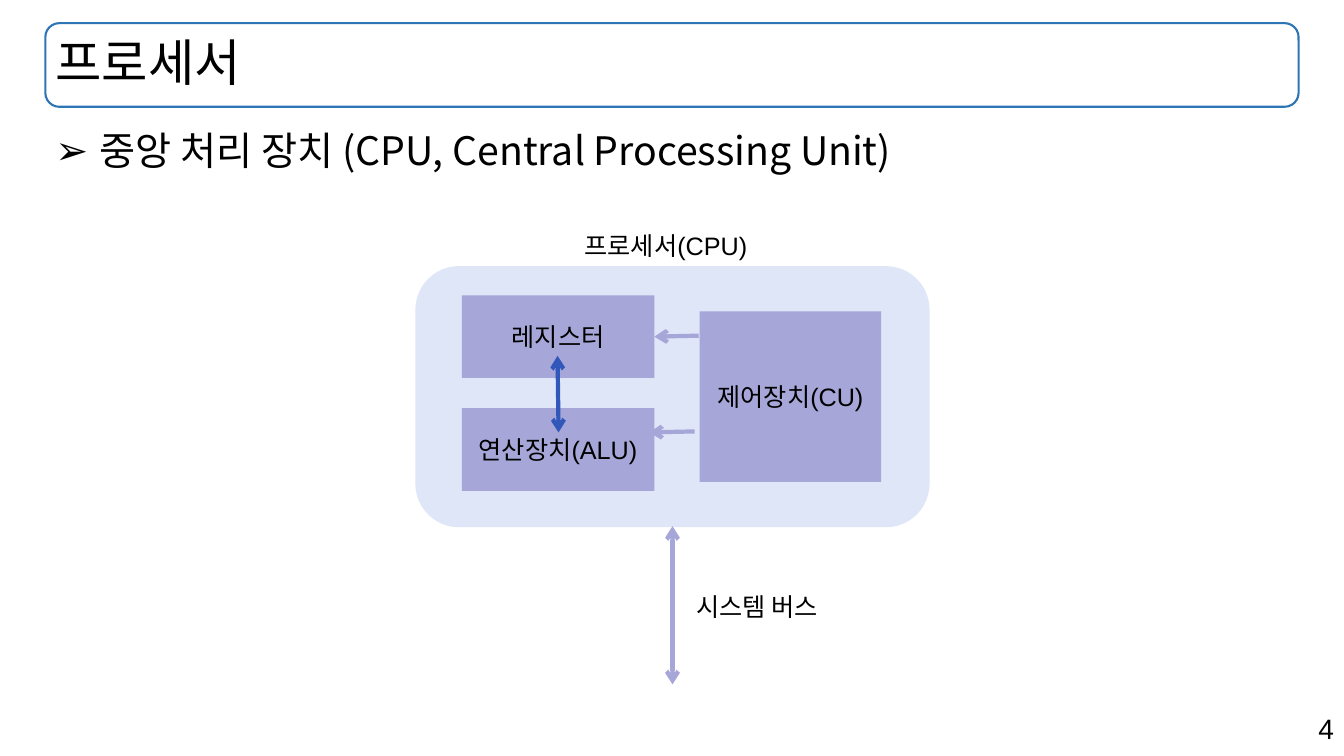
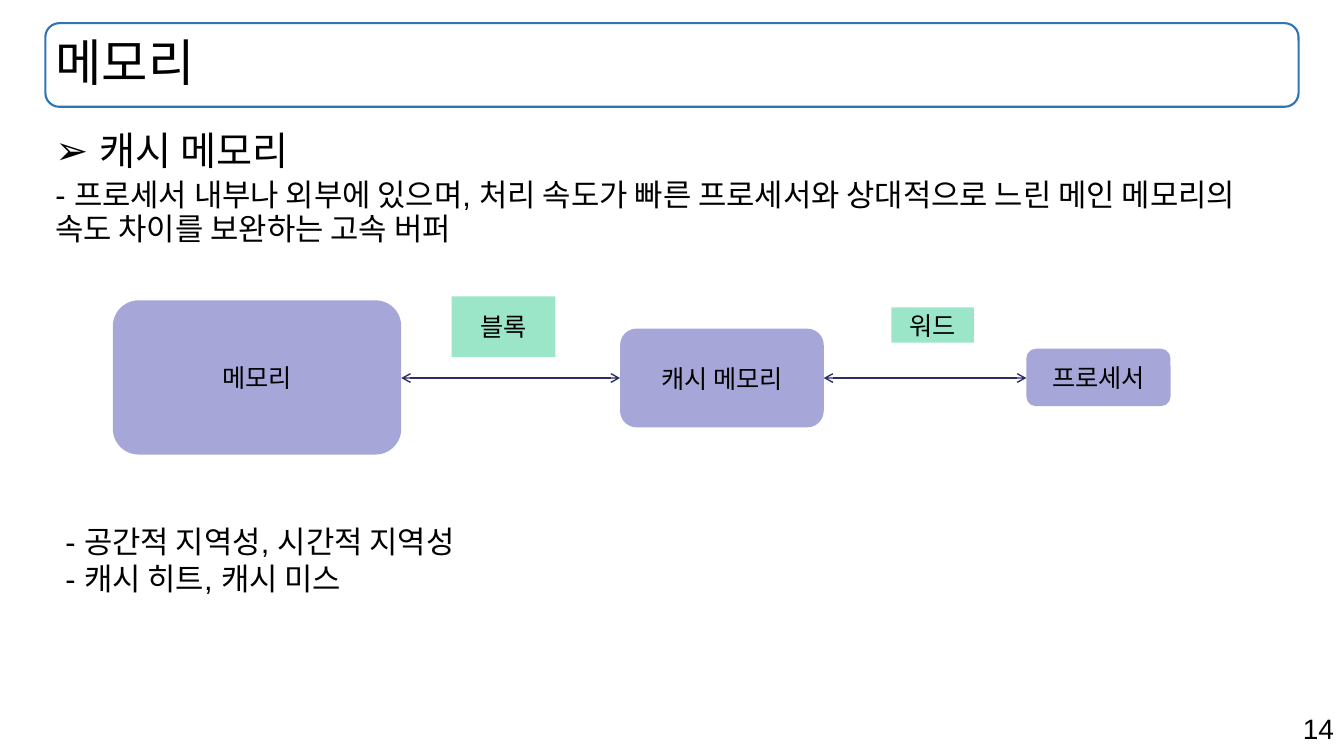
"""Builds two lecture slides on the processor and on cache memory."""
import pptx
import pptx.util
import pptx.dml.color
import pptx.enum.shapes
import pptx.enum.text
import pptx.oxml.ns
import lxml.etree

Inches = pptx.util.Inches
Pt = pptx.util.Pt
RGBColor = pptx.dml.color.RGBColor
Shape = pptx.enum.shapes.MSO_SHAPE
Align = pptx.enum.text.PP_ALIGN
Anchor = pptx.enum.text.MSO_ANCHOR
qn = pptx.oxml.ns.qn

BLACK = RGBColor(0x00, 0x00, 0x00)
BAND_BLUE = RGBColor(0x2E, 0x75, 0xB6)
LILAC = RGBColor(0xA6, 0xA7, 0xD8)
PALE_BLUE = RGBColor(0xDF, 0xE6, 0xF7)
STRONG_BLUE = RGBColor(0x30, 0x57, 0xB9)
NAVY = RGBColor(0x2B, 0x2D, 0x63)
MINT = RGBColor(0x9B, 0xE5, 0xC8)

FONT = "Arial"
LEFT, WIDTH = 0.45, 12.43
TITLE_PLACE = (LEFT, 0.23, WIDTH, 0.83)
NUMBER_PLACE = (9.43, 7.01, 3.9, 0.44)
BULLET_INDENT = Inches(0.44)
AXIS = 3.75

SLIDES = [
    {
        "title": "프로세서",
        "number": "4",
        "topic": "중앙 처리 장치 (CPU, Central Processing Unit)",
        "topic_font": "Noto Sans CJK KR",
        "topic_height": 5.53,
        "boxes": [
            (Shape.ROUNDED_RECTANGLE, (4.12, 2.64, 5.1, 2.59), PALE_BLUE, ""),
            (Shape.RECTANGLE, (4.58, 2.93, 1.91, 0.82), LILAC, "레지스터"),
            (Shape.RECTANGLE, (4.58, 4.05, 1.91, 0.82), LILAC, "연산장치(ALU)"),
            (Shape.RECTANGLE, (6.94, 3.09, 1.8, 1.69), LILAC, "제어장치(CU)"),
        ],
        "arrows": [
            ((6.67, 5.22, 6.67, 6.79), LILAC, 3, True),
            ((6.93, 3.33, 6.49, 3.34), LILAC, 3, False),
            ((6.89, 4.28, 6.44, 4.29), LILAC, 3, False),
            ((5.53, 3.53, 5.54, 4.29), STRONG_BLUE, 3, True),
        ],
        "notes": [
            ((5.7, 2.24, 2.2, 0.39), 18, 1, ["프로세서(CPU)"]),
            ((6.81, 5.82, 1.8, 0.39), 18, 1, ["시스템 버스"]),
        ],
    },
    {
        "title": "메모리",
        "number": "14",
        "topic": "캐시 메모리",
        "topic_font": FONT,
        "topic_height": 0.67,
        "boxes": [
            (Shape.ROUNDED_RECTANGLE, (1.12, 2.98, 2.86, 1.53), LILAC, "메모리"),
            (Shape.ROUNDED_RECTANGLE, (6.15, 3.26, 2.02, 0.98), LILAC, "캐시 메모리"),
            (Shape.ROUNDED_RECTANGLE, (10.18, 3.46, 1.43, 0.57), LILAC, "프로세서"),
            (Shape.RECTANGLE, (4.48, 2.94, 1.03, 0.6), MINT, "블록"),
            (Shape.RECTANGLE, (8.84, 3.05, 0.82, 0.35), MINT, "워드"),
        ],
        "arrows": [
            ((3.98, AXIS, 6.15, AXIS), NAVY, 1, True),
            ((8.17, AXIS, 10.18, AXIS), NAVY, 1, True),
        ],
        "notes": [
            ((LEFT, 1.74, WIDTH, 0.81), 22, 0.9, [
                "- 프로세서 내부나 외부에 있으며, 처리 속도가 빠른 프로세서와 "
                "상대적으로 느린 메인 메모리의 속도 차이를 보완하는 고속 버퍼",
            ]),
            ((0.55, 5.14, 5.55, 0.83), 22, 1, [
                "- 공간적 지역성, 시간적 지역성",
                "- 캐시 히트, 캐시 미스",
            ]),
        ],
    },
]


def write(para, text, size, align=Align.LEFT, spacing=1, font=FONT):
    para.alignment = align
    para.line_spacing = spacing
    para.space_before = Pt(0)
    span = para.add_run()
    span.text = text
    span.font.size = Pt(size)
    span.font.name = font
    span.font.color.rgb = BLACK


def place(shape, position):
    shape.left, shape.top, shape.width, shape.height = map(Inches, position)
    shape.text_frame.word_wrap = True
    shape.text_frame.auto_size = pptx.enum.text.MSO_AUTO_SIZE.NONE


deck = pptx.Presentation()
deck.slide_width = Inches(13.33)
deck.slide_height = Inches(7.5)

for content in SLIDES:
    page = deck.slides.add_slide(deck.slide_layouts[1])

    band = page.shapes.add_shape(Shape.ROUNDED_RECTANGLE, *map(Inches, TITLE_PLACE))
    band.shadow.inherit = False
    band.fill.background()
    band.line.color.rgb = BAND_BLUE
    band.line.width = Pt(1.5)

    title = page.shapes.title
    place(title, TITLE_PLACE)
    title.text_frame.vertical_anchor = Anchor.MIDDLE
    write(title.text_frame.paragraphs[0], content["title"], 36, spacing=0.9)

    body = page.placeholders[1]
    place(body, (LEFT, 1.26, WIDTH, content["topic_height"]))
    para = body.text_frame.paragraphs[0]
    properties = para._p.get_or_add_pPr()
    properties.set("marL", str(BULLET_INDENT))
    properties.set("indent", str(-BULLET_INDENT))
    lxml.etree.SubElement(properties, qn("a:buFont"), typeface=FONT)
    lxml.etree.SubElement(properties, qn("a:buChar"), char="➢")
    write(para, content["topic"], 28, spacing=0.9, font=content["topic_font"])

    for kind, position, color, label in content["boxes"]:
        box = page.shapes.add_shape(kind, *map(Inches, position))
        box.shadow.inherit = False
        box.fill.solid()
        box.fill.fore_color.rgb = color
        box.line.fill.background()
        if label:
            box.text_frame.word_wrap = False
            box.text_frame.vertical_anchor = Anchor.MIDDLE
            write(box.text_frame.paragraphs[0], label, 18, Align.CENTER)

    for ends, color, weight, both_ways in content["arrows"]:
        arrow = page.shapes.add_connector(
            pptx.enum.shapes.MSO_CONNECTOR.STRAIGHT, *map(Inches, ends))
        arrow.line.color.rgb = color
        arrow.line.width = Pt(weight)
        outline = arrow.line._get_or_add_ln()
        for end in ("a:headEnd", "a:tailEnd") if both_ways else ("a:tailEnd",):
            lxml.etree.SubElement(outline, qn(end), type="arrow")
        lxml.etree.SubElement(arrow._element.spPr, qn("a:effectLst"))

    for position, size, spacing, lines in content["notes"]:
        note = page.shapes.add_textbox(*map(Inches, position))
        place(note, position)
        for index, line in enumerate(lines):
            para = note.text_frame.add_paragraph() if index else note.text_frame.paragraphs[0]
            write(para, line, size, spacing=spacing)

    number = page.shapes.add_textbox(*map(Inches, NUMBER_PLACE))
    place(number, NUMBER_PLACE)
    write(number.text_frame.paragraphs[0], content["number"], 20, Align.RIGHT)

deck.save("out.pptx")
